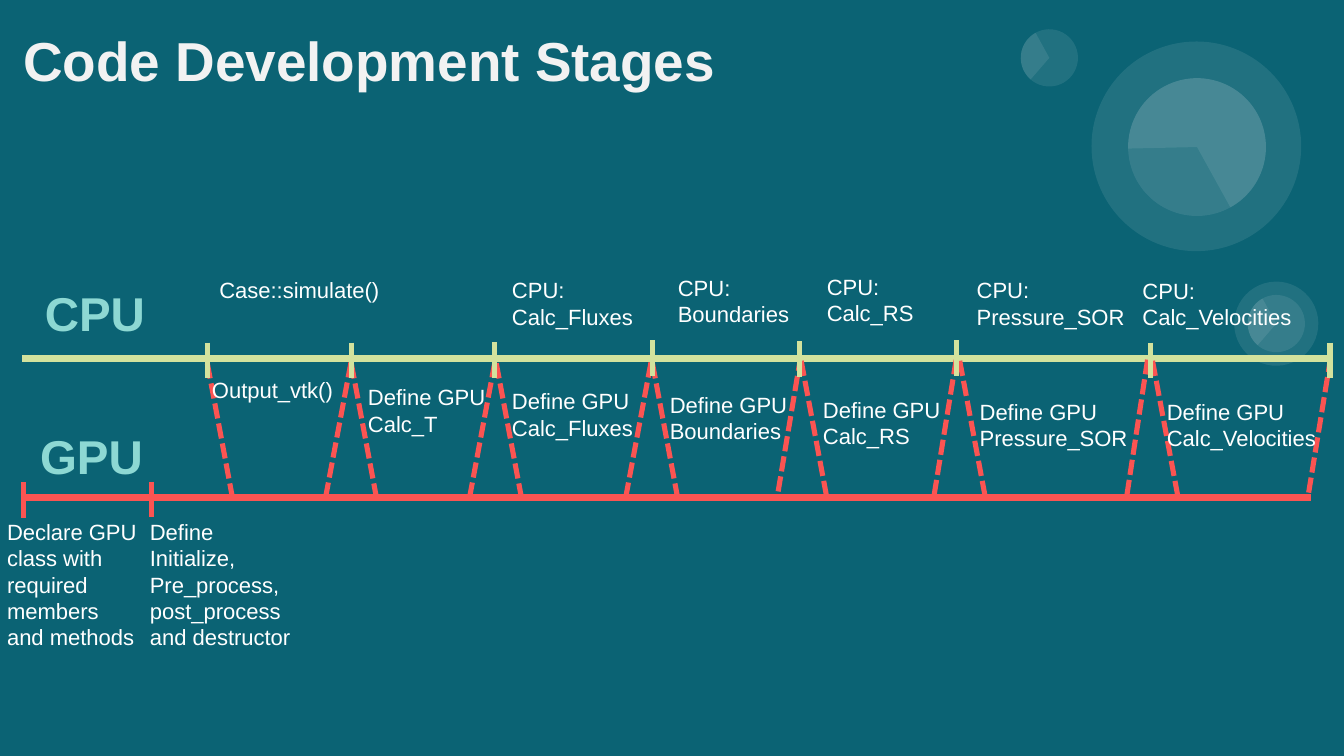
from lxml import etree
from pptx import Presentation
from pptx.dml.color import RGBColor
from pptx.enum.dml import MSO_LINE
from pptx.enum.shapes import MSO_CONNECTOR, MSO_SHAPE
from pptx.enum.text import MSO_ANCHOR, MSO_AUTO_SIZE
from pptx.oxml.ns import qn
from pptx.util import Pt

STRAIGHT = MSO_CONNECTOR.STRAIGHT
ELLIPSE, PIE = MSO_SHAPE.OVAL, MSO_SHAPE.PIE
DASHED = MSO_LINE.SQUARE_DOT
MIDDLE, TOP = MSO_ANCHOR.MIDDLE, MSO_ANCHOR.TOP
GROW, FIXED = MSO_AUTO_SIZE.SHAPE_TO_FIT_TEXT, MSO_AUTO_SIZE.NONE

TEAL, WHITE, OFF_WHITE = "0B6374", "FFFFFF", "F2F2F2"
CPU_GREEN, GPU_RED, MINT = "D3E29D", "FB5452", "8DD8D3"

LABEL = {"name": "Arial", "size": Pt(13), "bold": False}
LANE = {"name": "Arial", "size": Pt(28), "bold": True}
TITLE = {"name": "Arial", "size": Pt(32.4), "bold": True}
LABEL_FRAME = {"word_wrap": True, "auto_size": GROW, "vertical_anchor": TOP,
               "margin_left": Pt(7.2), "margin_right": Pt(7.2),
               "margin_top": Pt(3.6), "margin_bottom": Pt(3.6)}
TITLE_FRAME = {"word_wrap": True, "auto_size": FIXED, "vertical_anchor": MIDDLE,
               "margin_left": 0, "margin_right": 0,
               "margin_top": Pt(7.2), "margin_bottom": Pt(7.2)}

color = RGBColor.from_string

prs = Presentation()
prs.slide_width, prs.slide_height = Pt(793.44), Pt(446.4)
slide = prs.slides.add_slide(prs.slide_layouts[6])
slide.background.fill.solid()
slide.background.fill.fore_color.rgb = color(TEAL)


def add_line(x1, y1, x2, y2, line_color, width, dash=None):
    connector = slide.shapes.add_connector(STRAIGHT, Pt(x1), Pt(y1), Pt(x2), Pt(y2))
    connector.line.color.rgb = color(line_color)
    connector.line.width = Pt(width)
    if dash:
        connector.line.dash_style = dash
    etree.SubElement(connector._element.spPr, qn("a:effectLst"))


def add_text(left, top, width, height, text, font=LABEL, text_color=WHITE,
             frame=LABEL_FRAME):
    """Add a text box with one paragraph per line of text."""
    box = slide.shapes.add_textbox(Pt(left), Pt(top), Pt(width), Pt(height)).text_frame
    for name, value in frame.items():
        setattr(box, name, value)
    box.text = text
    for paragraph in box.paragraphs:
        for name, value in font.items():
            setattr(paragraph.font, name, value)
        paragraph.font.color.rgb = color(text_color)


# Translucent discs: kind, left, top, diameter, rotation, pie angles in degrees
discs = [
    (ELLIPSE, 666, 46.1, 81.4, 215.8, ()),
    (PIE, 666, 46.1, 81.4, 215.8, (322.95, 205.23)),
    (ELLIPSE, 644.4, 24.5, 123.8, 215.8, ()),
    (ELLIPSE, 728.6, 166.3, 49.7, 35.9, ()),
    (ELLIPSE, 736.6, 174.2, 33.8, 35.8, ()),
    (PIE, 736.6, 174.2, 33.8, 35.8, (95, 205.23)),
    (ELLIPSE, 602.6, 17.3, 33.8, 35.9, ()),
    (PIE, 602.6, 17.3, 33.8, 35.9, (95, 205.23)),
]
for kind, left, top, diameter, rotation, angles in discs:
    disc = slide.shapes.add_shape(kind, Pt(left), Pt(top), Pt(diameter), Pt(diameter))
    disc.rotation = rotation
    for i, angle in enumerate(angles):
        disc.adjustments[i] = angle * 0.6
    disc.shadow.inherit = False
    disc.line.fill.background()
    disc.fill.solid()
    disc.fill.fore_color.rgb = color(WHITE)
    tint = disc._element.spPr.find(qn("a:solidFill"))[0]
    etree.SubElement(tint, qn("a:alpha"), val="9000")

add_text(13.7, 10.8, 508.3, 49, "Code Development Stages", TITLE, OFF_WHITE, TITLE_FRAME)

# Timelines
add_line(13, 211.7, 785.5, 211.7, CPU_GREEN, 4.5)
add_line(12.2, 293.8, 774, 293.8, GPU_RED, 4.5)
add_text(19.4, 164.2, 94.3, 40.3, "CPU", LANE, MINT)
add_text(16.6, 248.4, 94.3, 40.3, "GPU", LANE, MINT)

# Each stage leaves the CPU line, runs on the GPU and returns:
# launch x, y; return foot x, y; return end x, y
stages = [
    (122.4, 214.6, 192.2, 293.8, 207.4, 213.1),
    (207.4, 214.6, 277.2, 293.8, 292.3, 213.1),
    (293, 214.6, 369.4, 293.8, 384.5, 213.1),
    (385.2, 214.6, 459.4, 290.2, 472.3, 213.1),
    (473, 213.1, 551.5, 292.3, 564.5, 212.4),
    (566.6, 213.1, 665.3, 292.3, 677.5, 212.4),
    (680.4, 213.1, 772.6, 290.9, 785.5, 211.7),
]
for launch_x, launch_y, *way_back in stages:
    add_line(launch_x, launch_y, launch_x + 15.1, launch_y + 80.6, GPU_RED, 3, DASHED)
    add_line(*way_back, GPU_RED, 3, DASHED)

cpu_ticks = [(122.4, 202.3), (207.4, 202.3), (292, 202), (385, 201), (472.1, 201.6),
             (564.5, 200.9), (679, 202.3), (785.2, 202.3)]
gpu_ticks = [(13.7, 284.8), (89.6, 284.4)]
for ticks, tick_color in ((cpu_ticks, CPU_GREEN), (gpu_ticks, GPU_RED)):
    for x, top in ticks:
        add_line(x, top, x, top + 21, tick_color, 3)

# Function names: left, top, width, text
cpu_labels = [
    (295.2, 159.8, 127.4, "Calc_Fluxes"),
    (393.1, 158.4, 136.1, "Boundaries"),
    (481, 157.7, 114.5, "Calc_RS"),
    (569.5, 159.8, 116.6, "Pressure_SOR"),
    (667.4, 160.2, 116.6, "Calc_Velocities"),
]
gpu_labels = [
    (210.2, 223.2, 122.4, "Calc_T"),
    (295.2, 225.4, 141.1, "Calc_Fluxes"),
    (388.4, 227.5, 141.1, "Boundaries"),
    (478.8, 230.4, 141.1, "Calc_RS"),
    (571.3, 231.8, 141.1, "Pressure_SOR"),
    (681.8, 231.8, 141.1, "Calc_Velocities"),
]
for heading, labels in (("CPU:", cpu_labels), ("Define GPU", gpu_labels)):
    for left, top, width, function in labels:
        add_text(left, top, width, 38.2, f"{heading}\n{function}")

add_text(122.4, 159.8, 121.7, 23, "Case::simulate()")
add_text(118.1, 218.9, 122.4, 23, "Output_vtk()")
add_text(-2.9, 302.4, 110.9, 85,
         "Declare GPU class with required members\nand methods")
add_text(81.4, 302.4, 100.8, 85,
         "Define Initialize, Pre_process, post_process and destructor")

prs.save("out.pptx")
